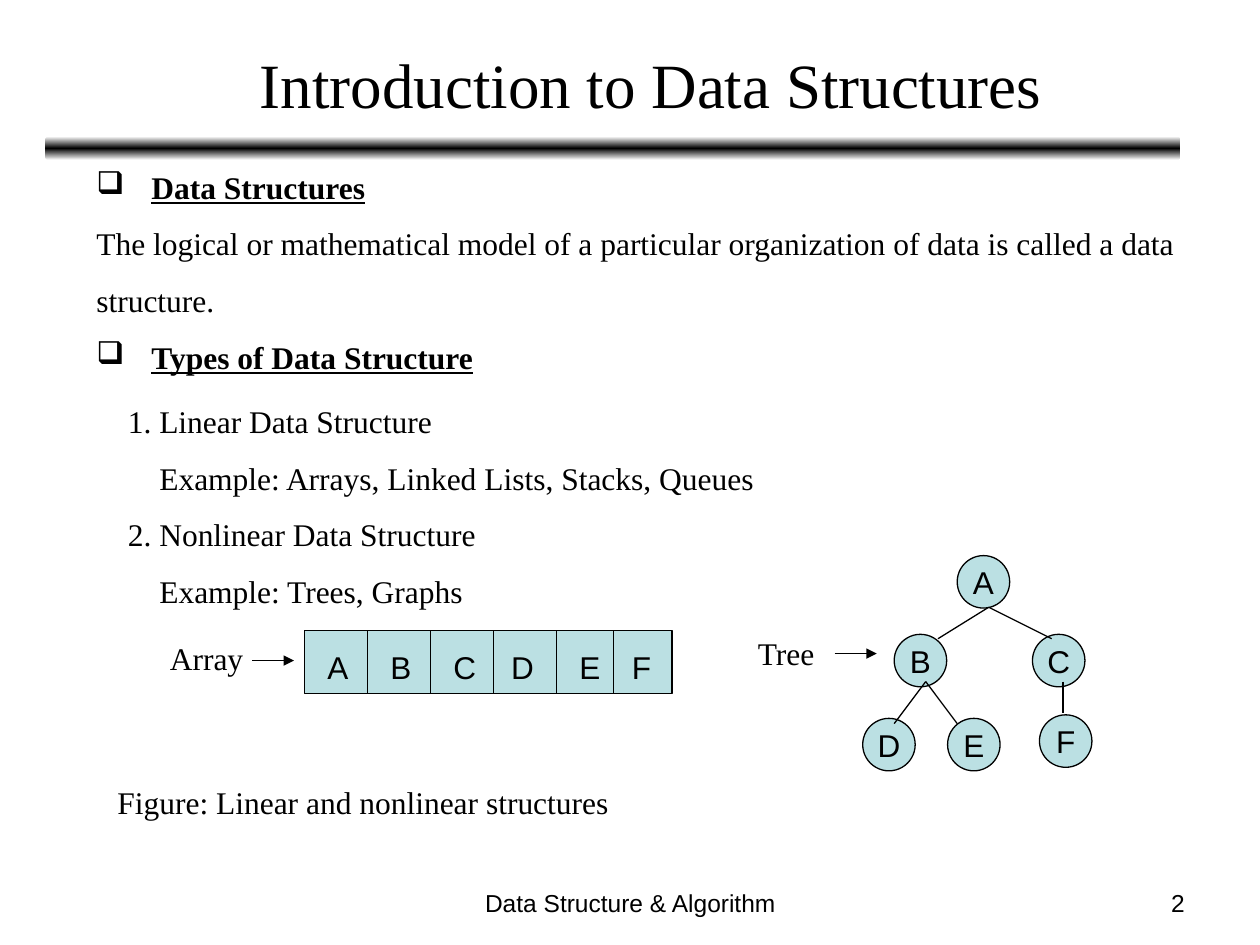
from copy import deepcopy

from pptx import Presentation
from pptx.dml.color import RGBColor
from pptx.enum.shapes import MSO_CONNECTOR, MSO_SHAPE
from pptx.enum.text import MSO_ANCHOR, MSO_AUTO_SIZE, PP_ALIGN
from pptx.oxml.ns import qn
from pptx.util import Pt

LINE = MSO_CONNECTOR.STRAIGHT
RECT, OVAL, ROUNDED = MSO_SHAPE.RECTANGLE, MSO_SHAPE.OVAL, MSO_SHAPE.ROUNDED_RECTANGLE
LEFT, CENTER, RIGHT = PP_ALIGN.LEFT, PP_ALIGN.CENTER, PP_ALIGN.RIGHT
TOP, MIDDLE = MSO_ANCHOR.TOP, MSO_ANCHOR.MIDDLE
SERIF, SANS = "Times New Roman", "Arial"
BLACK, WHITE, AQUA = "000000", "FFFFFF", "BBE0E3"

TITLE = "Introduction to Data Structures"
# kind, text, left margin, line spacing
BODY = [
    ("heading", "Data Structures", 31.5, 1.5),
    ("text", "The logical or mathematical model of a particular organization "
             "of data is called a data structure.", 0, 1.5),
    ("heading", "Types of Data Structure", 31.5, 1.5),
    ("text", "1. Linear Data Structure", 18, 1.7),
    ("text", "Example: Arrays, Linked Lists, Stacks, Queues", 36, 1.5),
    ("text", "2. Nonlinear Data Structure", 18, 1.5),
    ("text", "Example: Trees, Graphs", 36, 1.5),
]
# text, left, top, width, height, size, font, alignment
LABELS = [
    ("Data Structure & Algorithm", 246, 504, 228.5, 25, 14, SANS, CENTER),
    ("2", 516, 504, 168, 25, 14, SANS, RIGHT),
    ("Figure: Linear and nonlinear structures", 60, 444, 366, 29, 18, SERIF, LEFT),
    ("Array", 90, 361.5, 72, 29, 18, SERIF, LEFT),
    ("Tree", 426, 359, 72, 29, 18, SERIF, LEFT),
]
ARROWS = [(144, 377.5), (477, 373.5)]
ARROW_LENGTH = 24

NODE_SIZE = 30
NODES = {"A": (547, 317.5), "B": (511, 362.5), "C": (590, 362.5),
         "D": (493, 410.5), "E": (541.5, 410.5), "F": (594, 408.5)}
# start point, then the end points of its branches
BRANCHES = [
    ((565, 347), [(536, 365), (601, 365)]),
    ((529, 389.5), [(511, 413.5), (547, 413.5)]),
    ((607.5, 389.5), [(607.5, 407.5)]),
]

ARRAY = (174, 360.5, 210, 36)
ARRAY_DIVIDERS = [210, 246, 282, 318, 350.5]
ARRAY_LETTERS = {"A": 180, "B": 216, "C": 252, "D": 285, "E": 324, "F": 354}


def rgb(value):
    return RGBColor.from_string(value)


def style(p, size, font, align=LEFT):
    p.alignment = align
    for r in p.runs:
        r.font.size, r.font.name = Pt(size), font
        r.font.color.rgb = rgb(BLACK)


def add_text(shapes, text, x, y, w, h, size, font, align=LEFT):
    tf = shapes.add_textbox(Pt(x), Pt(y), Pt(w), Pt(h)).text_frame
    tf.word_wrap = True
    tf.text = text
    style(tf.paragraphs[0], size, font, align)


def add_box(shapes, kind, x, y, w, h):
    sp = shapes.add_shape(kind, Pt(x), Pt(y), Pt(w), Pt(h))
    sp.shadow.inherit = False
    sp.fill.solid()
    sp.fill.fore_color.rgb = rgb(AQUA)
    sp.line.color.rgb = rgb(BLACK)
    sp.line.width = Pt(0.75)
    return sp


def add_line(shapes, x1, y1, x2, y2, arrow=False):
    line = shapes.add_connector(LINE, Pt(x1), Pt(y1), Pt(x2), Pt(y2))
    line.line.color.rgb = rgb(BLACK)
    line.line.width = Pt(0.75)
    sp_pr = line._element.spPr
    if arrow:
        head = sp_pr.find(qn("a:ln")).makeelement(qn("a:tailEnd"), {"type": "triangle"})
        sp_pr.find(qn("a:ln")).append(head)
    sp_pr.append(sp_pr.makeelement(qn("a:effectLst"), {}))


def add_rule(shapes):
    """Add the bar under the title, dark in the middle and fading up and down."""
    bar = shapes.add_shape(ROUNDED, Pt(26), Pt(78), Pt(648.5), Pt(13.5))
    bar.shadow.inherit = False
    bar.line.fill.background()
    bar.fill.gradient()
    bar.fill.gradient_angle = 90
    stops = bar._element.spPr.find(qn("a:gradFill")).find(qn("a:gsLst"))
    stops.append(deepcopy(stops[-1]))
    for stop, position, color in zip(bar.fill.gradient_stops, (0, 0.5, 1),
                                     (WHITE, BLACK, WHITE)):
        stop.position = position
        stop.color.rgb = rgb(color)


def add_title(slide):
    title = slide.shapes.title
    title.left, title.top, title.width, title.height = Pt(24), Pt(22.5), Pt(696), Pt(116.5)
    tf = title.text_frame
    tf.text = TITLE
    tf.vertical_anchor = TOP
    tf.auto_size = MSO_AUTO_SIZE.NONE
    style(tf.paragraphs[0], 36, SERIF, CENTER)


def add_body(shapes):
    tf = shapes.add_textbox(Pt(48), Pt(81.5), Pt(654), Pt(314.5)).text_frame
    tf.word_wrap = True
    for i, (kind, text, margin, spacing) in enumerate(BODY):
        p = tf.add_paragraph() if i else tf.paragraphs[0]
        p.text = text
        p.line_spacing = spacing
        style(p, 18, SERIF)
        p_pr = p._p.get_or_add_pPr()
        p_pr.set("marL", str(Pt(margin)))
        if kind == "heading":
            p.runs[0].font.bold = p.runs[0].font.underline = True
            p_pr.set("indent", str(-Pt(margin)))
            p_pr.append(p_pr.makeelement(qn("a:buChar"), {"char": "❑"}))


def add_tree(shapes):
    for letter, (x, y) in NODES.items():
        node = add_box(shapes, OVAL, x, y, NODE_SIZE, NODE_SIZE)
        tf = node.text_frame
        tf.text = letter
        tf.word_wrap = False
        tf.vertical_anchor = MIDDLE
        style(tf.paragraphs[0], 18, SANS, CENTER)
    for start, ends in BRANCHES:
        for end in ends:
            add_line(shapes, *start, *end)


def add_array(shapes):
    add_box(shapes, RECT, *ARRAY)
    top, height = ARRAY[1], ARRAY[3]
    for letter, x in ARRAY_LETTERS.items():
        add_text(shapes, letter, x, top + 6, 24, 29, 18, SANS)
    for x in ARRAY_DIVIDERS:
        add_line(shapes, x, top, x, top + height)


def main():
    prs = Presentation()
    prs.slide_width, prs.slide_height = Pt(720), Pt(540)
    slide = prs.slides.add_slide(prs.slide_layouts[5])
    shapes = slide.shapes
    add_rule(shapes)
    add_title(slide)
    add_body(shapes)
    add_tree(shapes.add_group_shape().shapes)
    add_array(shapes.add_group_shape().shapes)
    for label in LABELS:
        add_text(shapes, *label)
    for x, y in ARROWS:
        add_line(shapes, x, y, x + ARROW_LENGTH, y, arrow=True)
    prs.save("out.pptx")


if __name__ == "__main__":
    main()
